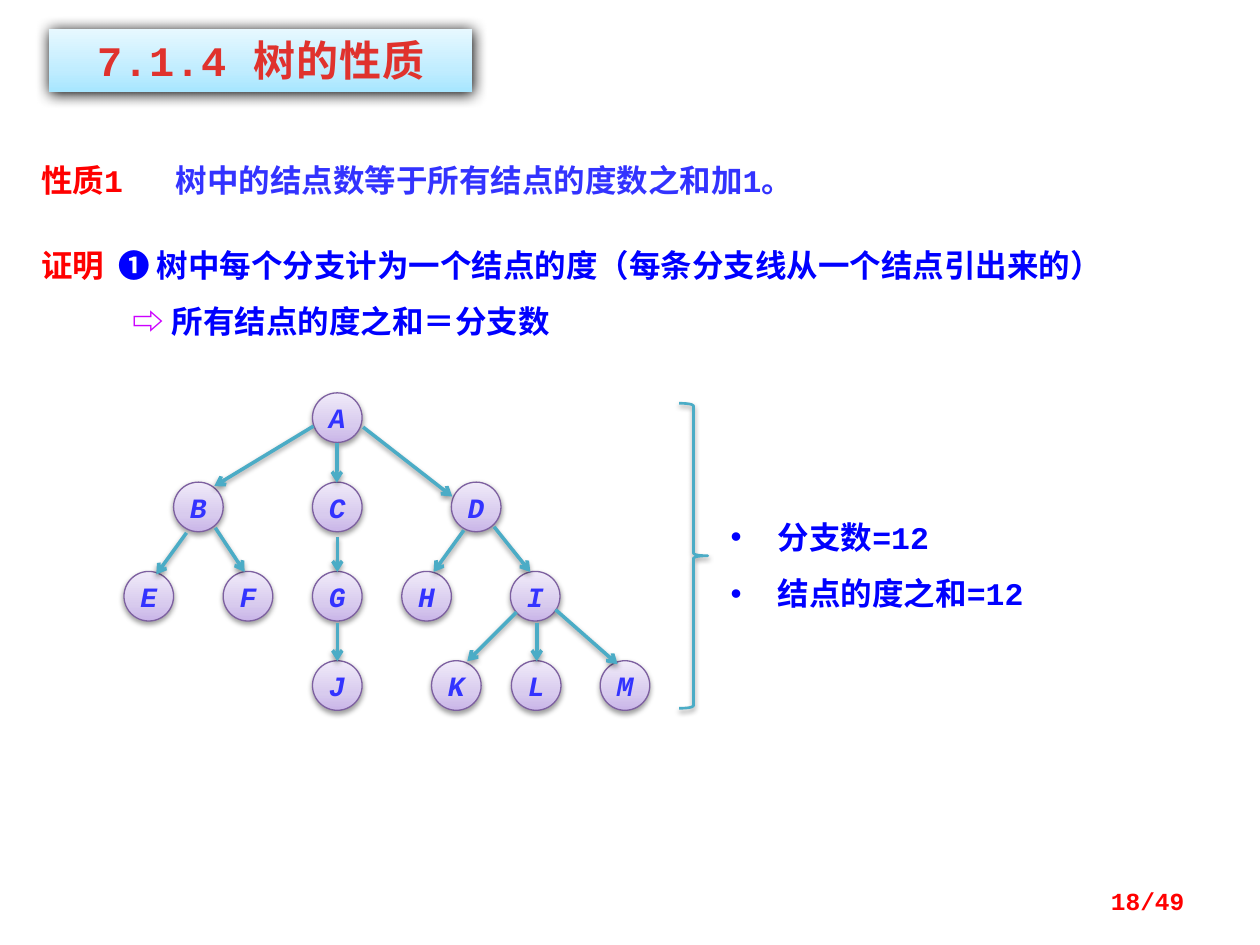
from copy import deepcopy
from dataclasses import dataclass

from pptx import Presentation
from pptx.dml.color import RGBColor
from pptx.enum.shapes import MSO_CONNECTOR, MSO_SHAPE
from pptx.enum.text import MSO_ANCHOR as Anchor, MSO_AUTO_SIZE as AutoSize, PP_ALIGN as Align
from pptx.oxml import parse_xml
from pptx.oxml.ns import nsdecls, qn
from pptx.util import Cm, Pt


@dataclass(frozen=True)
class Theme:
    font: str = "Courier New"
    title_size: int = 24
    body_size: int = 18
    node_size: int = 16
    page_size: int = 14
    title: str = "E0322D"
    label: str = "FF0000"
    claim: str = "3333FF"
    proof: str = "0000FF"
    implies: str = "CC00FF"
    branch: str = "4BACC6"
    node_edge: str = "7D60A0"
    title_fill: tuple = ("A7E6FF", "C1EDFF", "E7F8FF")
    node_fill: tuple = ("C9B5E8", "D8CBEE", "F0EAF9")


theme = Theme()
FILL_POSITIONS = (0, 0.35, 1)


def write(shape, lines, size, frame_format, line_format, **font_format):
    """Fill a shape with lines, each a list of (text, colour) runs."""
    frame = shape.text_frame
    for name, value in frame_format.items():
        setattr(frame, name, value)
    for index, runs in enumerate(lines):
        paragraph = frame.paragraphs[0] if index == 0 else frame.add_paragraph()
        for name, value in line_format.items():
            setattr(paragraph, name, value)
        for text, color in runs:
            run = paragraph.add_run()
            run.text = text
            look = {"name": theme.font, "size": Pt(size), "bold": True, **font_format}
            for name, value in look.items():
                setattr(run.font, name, value)
            run.font.color.rgb = RGBColor.from_string(color)
    return frame.paragraphs


def finish(shape, blur, distance, opacity, fill_colors=()):
    """Give a shape its vertical gradient, if any, and its drop shadow."""
    properties = shape.element.spPr
    if fill_colors:
        shape.fill.gradient()
        shape.fill.gradient_angle = 90
        stop_list = properties.find(qn("a:gradFill")).find(qn("a:gsLst"))
        stop_list.insert(1, deepcopy(stop_list[0]))
        for stop, position, color in zip(shape.fill.gradient_stops, FILL_POSITIONS, fill_colors):
            stop.position = position
            stop.color.rgb = RGBColor.from_string(color)
    properties.append(parse_xml(
        f'<a:effectLst {nsdecls("a")}><a:outerShdw blurRad="{Pt(blur)}" dist="{Pt(distance)}" '
        f'dir="5400000" rotWithShape="0"><a:srgbClr val="000000"><a:alpha val="{opacity * 1000}"/>'
        '</a:srgbClr></a:outerShdw></a:effectLst>'))


SOFT_SHADOW = {"blur": 3.1, "distance": 1.6, "opacity": 38}
GROWING = {"word_wrap": True, "auto_size": AutoSize.SHAPE_TO_FIT_TEXT,
           "vertical_anchor": Anchor.TOP}

presentation = Presentation()
presentation.slide_width, presentation.slide_height = Cm(25.4), Cm(19.05)
shapes = presentation.slides.add_slide(presentation.slide_layouts[6]).shapes

# Property and proof
theorem = shapes.add_textbox(Cm(0.58), Cm(2.9), Cm(20.04), Cm(1.3))
theorem_lines = write(
    theorem,
    [[("性质1\t", theme.label), ("树中的结点数等于所有结点的度数之和加1。", theme.claim)]],
    theme.body_size, GROWING, {"line_spacing": 1.3})

heading = shapes.add_shape(MSO_SHAPE.RECTANGLE, Cm(0.99), Cm(0.58), Cm(8.53), Cm(1.27))
heading.line.fill.background()
finish(heading, blur=8.5, distance=1, opacity=100, fill_colors=theme.title_fill)
heading_lines = write(heading, [[("7.1.4 树的性质", theme.title)]], theme.title_size,
                      GROWING, {"alignment": Align.CENTER})
heading_lines[0].runs[0].font._element.set("spc", "50")

proof = shapes.add_textbox(Cm(0.58), Cm(4.47), Cm(23.22), Cm(2.54))
proof_lines = write(
    proof,
    [[("证明\t", theme.label),
      ("❶ 树中每个分支计为一个结点的度（每条分支线从一个结点引出来的）", theme.proof)],
     [("⇨ ", theme.implies), ("所有结点的度之和＝分支数", theme.proof)]],
    theme.body_size, GROWING, {"line_spacing": Pt(32)})
proof_lines[1]._p.get_or_add_pPr().set("marL", str(Cm(1.85)))

for line, tab in ((theorem_lines[0], 2.71), (proof_lines[0], 1.55)):
    line._p.get_or_add_pPr().append(parse_xml(
        f'<a:tabLst {nsdecls("a")}><a:tab pos="{Cm(tab)}" algn="l"/></a:tabLst>'))

# Counts beside the tree
counts = shapes.add_textbox(Cm(14.48), Cm(9.93), Cm(6.93), Cm(2.57))
count_lines = write(counts, [[("分支数=12", theme.proof)], [("结点的度之和=12", theme.proof)]],
                    theme.body_size, GROWING, {"line_spacing": 1.5})
for line in count_lines:
    properties = line._p.get_or_add_pPr()
    properties.set("marL", str(Cm(0.95)))
    properties.set("indent", str(-Cm(0.95)))
    properties.append(parse_xml(f'<a:buFont {nsdecls("a")} typeface="Arial"/>'))
    properties.append(parse_xml(f'<a:buChar {nsdecls("a")} char="•"/>'))

brace = shapes.add_shape(MSO_SHAPE.RIGHT_BRACE, Cm(13.69), Cm(8.13), Cm(0.58), Cm(6.15))
brace.fill.background()
brace.line.color.rgb = RGBColor.from_string(theme.branch)
brace.line.width = Pt(1.5)
finish(brace, **SOFT_SHADOW)

# Tree: left edge of every node, level by level
NODE_SIZE, TREE_TOP, LEVEL_STEP = 1, 7.92, 1.8
levels = [
    {"A": 6.3},
    {"B": 3.5, "C": 6.3, "D": 9.1},
    {"E": 2.5, "F": 4.5, "G": 6.3, "H": 8.1, "I": 10.29},
    {"J": 6.3, "K": 8.7, "L": 10.31, "M": 12.1},
]
for depth, nodes in enumerate(levels):
    for letter, left in nodes.items():
        node = shapes.add_shape(MSO_SHAPE.OVAL, Cm(left), Cm(TREE_TOP + depth * LEVEL_STEP),
                                Cm(NODE_SIZE), Cm(NODE_SIZE))
        node.line.color.rgb = RGBColor.from_string(theme.node_edge)
        node.line.width = Pt(0.75)
        finish(node, **SOFT_SHADOW, fill_colors=theme.node_fill)
        write(node, [[(letter, theme.claim)]], theme.node_size,
              {"word_wrap": False, "vertical_anchor": Anchor.MIDDLE},
              {"alignment": Align.CENTER}, italic=True)

# Branches: start x, start y, end x, end y
branches = {
    "AB": (6.32, 8.59, 4.32, 9.8),
    "AC": (6.79, 8.94, 6.79, 9.73),
    "AD": (7.32, 8.61, 9.12, 10.01),
    "BE": (3.76, 10.74, 3.15, 11.58),
    "BF": (4.34, 10.64, 4.93, 11.53),
    "CG": (6.8, 10.82, 6.8, 11.53),
    "DH": (9.35, 10.69, 8.74, 11.53),
    "DI": (9.96, 10.62, 10.69, 11.53),
    "GJ": (6.8, 12.55, 6.8, 13.33),
    "IK": (10.41, 12.34, 9.42, 13.33),
    "IL": (10.82, 12.55, 10.82, 13.33),
    "IM": (11.2, 12.29, 12.45, 13.39),
}
for ends in branches.values():
    branch = shapes.add_connector(MSO_CONNECTOR.STRAIGHT, *map(Cm, ends))
    branch.line.color.rgb = RGBColor.from_string(theme.branch)
    branch.line.width = Pt(2)
    branch.element.spPr.find(qn("a:ln")).append(
        parse_xml(f'<a:tailEnd {nsdecls("a")} type="arrow"/>'))
    finish(branch, **SOFT_SHADOW)

page_number = shapes.add_textbox(Cm(18.21), Cm(17.65), Cm(5.92), Cm(1.02))
write(page_number, [[("18/49", theme.label)]], theme.page_size,
      {"word_wrap": True, "vertical_anchor": Anchor.MIDDLE}, {"alignment": Align.RIGHT})

presentation.save("out.pptx")
